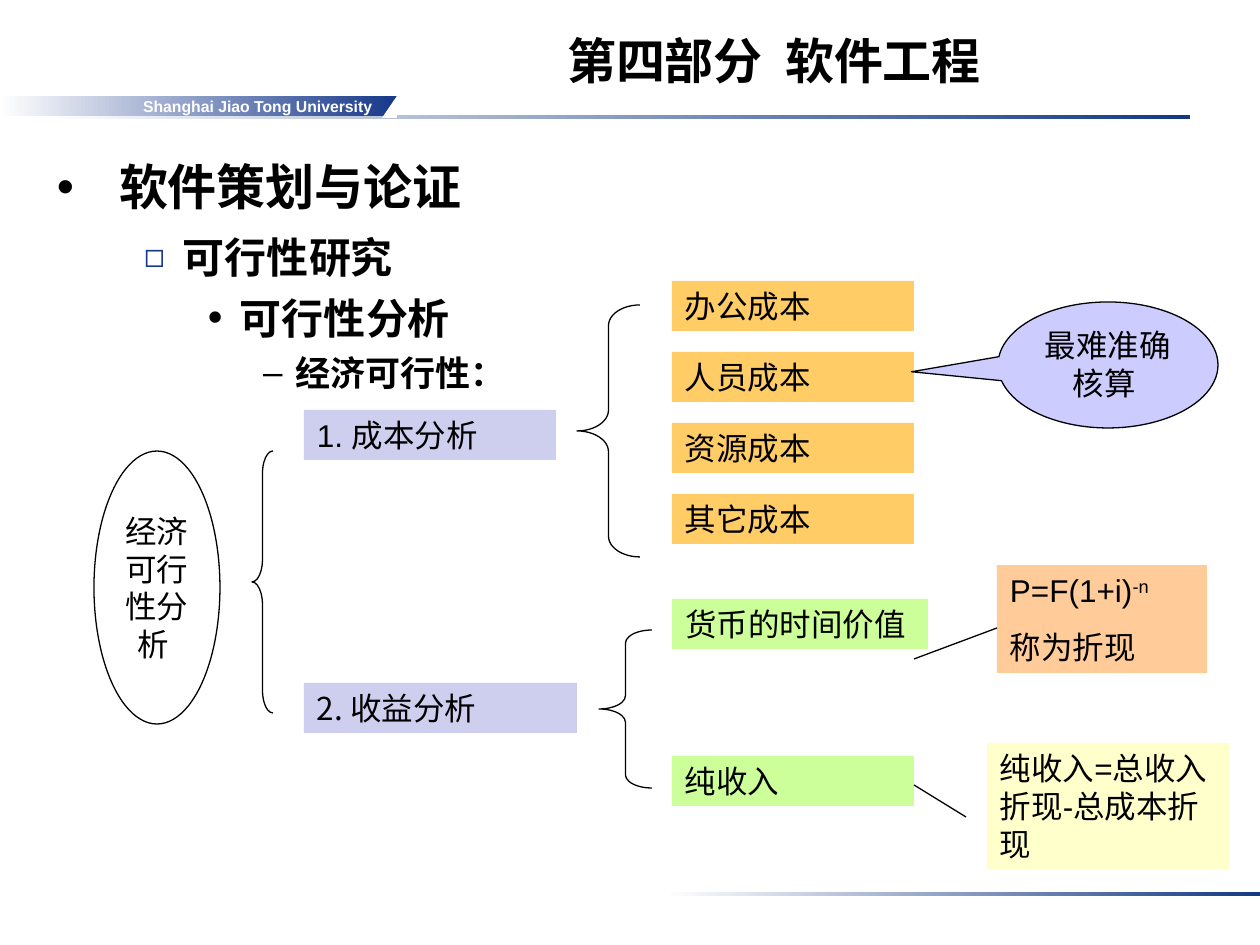
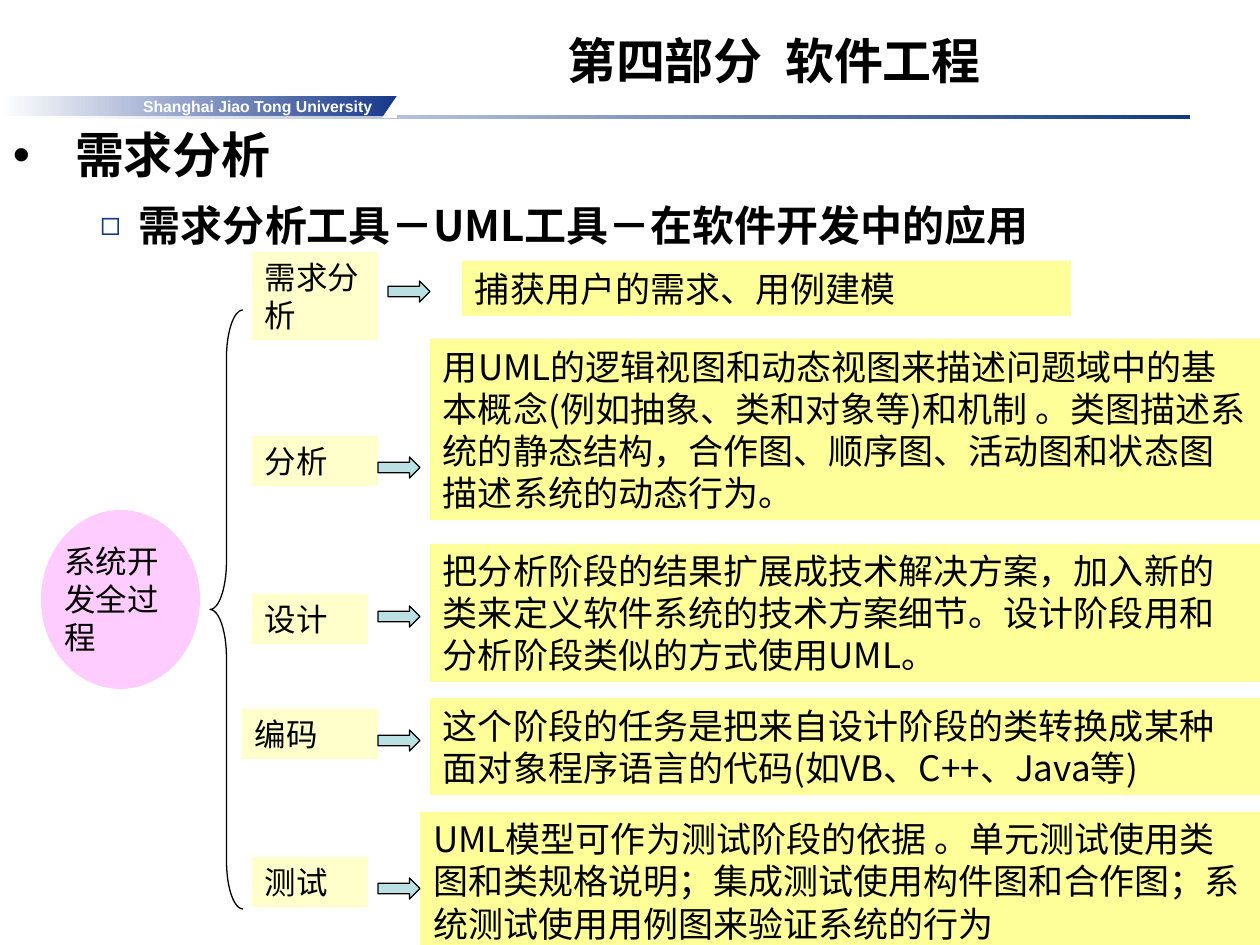
from lxml import etree
from pptx import Presentation
from pptx import util as u
from pptx.dml.color import RGBColor
from pptx.enum import shapes, text
from pptx.oxml import ns

PX = 914400 / 126
WIDTH, HEIGHT = 1260, 945
SHAPE, ALIGN, ANCHOR = shapes.MSO_SHAPE, text.PP_ALIGN, text.MSO_ANCHOR
LATIN, CJK = "Arial", "Noto Sans CJK SC"
COLORS = {
    "black": "000000", "white": "FFFFFF", "rule": "133984", "banner": "16388A",
    "lavender": "CECEEF", "orange": "FFCC66", "green": "CCFF99",
    "callout": "CCCCFF", "cream": "FFFFCC", "peach": "FFCC99",
    "pink": "FFCCFF", "yellow": "FFFF99", "arrow": "BBE0E3",
}
# Outline levels: size, left margin, hanging, space before, line height, bullet
LEVELS = [
    dict(size=28, font=LATIN, margin=62, hang=62, gap=7, line=1.32, bullet="•"),
    dict(size=24, margin=126, hang=39, gap=6, line=1.32, bullet="◻",
         bullet_color="banner", bullet_size=80),
    dict(size=24, margin=183, hang=32, gap=6, bullet="•"),
    dict(size=20, margin=238, hang=32, gap=5, bullet="–"),
]


def emu(*lengths):
    return [u.Emu(round(length * PX)) for length in lengths]


def rgb(name):
    return RGBColor.from_string(COLORS[name])


def add_xml(parent, tag, **attributes):
    return etree.SubElement(parent, ns.qn(tag), attributes)


# ---- Text ----
def add_span(para, words, size=18, font=CJK, color="black", bold=False, raised=0):
    span = para.add_run()
    span.text = words
    span.font.size, span.font.bold = u.Pt(size), bold
    span.font.color.rgb = rgb(color)
    span.font.name = font
    props = span._r.get_or_add_rPr()
    add_xml(props, "a:ea", typeface=CJK)
    if raised:
        props.set("baseline", str(raised * 1000))


def write(frame, words, size=18, align=ALIGN.LEFT, gap=0, line=1.2, margin=0,
          hang=0, bullet=None, bullet_color="black", bullet_size=100, **style):
    first = not frame.paragraphs[0].runs
    para = frame.paragraphs[0] if first else frame.add_paragraph()
    if bullet:
        props = para._p.get_or_add_pPr()
        props.set("marL", str(emu(margin)[0]))
        props.set("indent", str(emu(-hang)[0]))
        add_xml(add_xml(props, "a:buClr"), "a:srgbClr", val=COLORS[bullet_color])
        add_xml(props, "a:buSzPct", val=str(bullet_size * 1000))
        add_xml(props, "a:buFont", typeface=LATIN)
        add_xml(props, "a:buChar", char=bullet)
    para.alignment = align
    para.line_spacing = u.Pt(size * line)
    if not first:
        para.space_before = u.Pt(gap)
    add_span(para, words, size, **style)
    return para


def set_frame(frame, anchor=ANCHOR.TOP, insets=(13, 6, 13, 6), wrap=True):
    frame.word_wrap, frame.vertical_anchor = wrap, anchor
    (frame.margin_left, frame.margin_top,
     frame.margin_right, frame.margin_bottom) = emu(*insets)
    return frame


# ---- Shapes ----
def add_part(page, kind, box, fill=None, line=None, adjust=()):
    part = page.shapes.add_shape(kind, *emu(*box))
    part.shadow.inherit = False
    if fill:
        part.fill.solid()
        part.fill.fore_color.rgb = rgb(fill)
    else:
        part.fill.background()
    if line:
        part.line.color.rgb, part.line.width = rgb(line), u.Pt(0.75)
    else:
        part.line.fill.background()
    for index, value in enumerate(adjust):
        part.adjustments[index] = value
    return part


def add_label(page, box, words, fill, **style):
    label = add_part(page, SHAPE.RECTANGLE, box, fill)
    write(set_frame(label.text_frame), words, **style)
    return label


def add_brace(page, box, curl):
    add_part(page, SHAPE.LEFT_BRACE, box, line="black", adjust=(curl, 0.5))


def add_line(page, *ends):
    line = page.shapes.add_connector(shapes.MSO_CONNECTOR.STRAIGHT, *emu(*ends))
    line.line.color.rgb, line.line.width = rgb("black"), u.Pt(0.75)
    add_xml(line.element.spPr, "a:effectLst")


def add_fade(page, box, color):
    band = add_part(page, SHAPE.RECTANGLE, box, "white")
    band.fill.gradient()
    band.fill.gradient_angle = 0
    for stop, name in zip(band.fill.gradient_stops, ("white", color)):
        stop.color.rgb = rgb(name)
    return band


# ---- Shared frame ----
def move_bands_to_layout(page, layout):
    """Build the rules and the name banner, then keep them on the layout."""
    bands = [add_fade(page, (39, 115, 1151, 4), "rule"),
             add_fade(page, (665, 892, 595, 4), "rule")]
    banner = add_fade(page, (0, 96, 397, 20), "banner")
    write(set_frame(banner.text_frame, ANCHOR.MIDDLE, (13, 0, 25, 0)),
          "Shanghai Jiao Tong University", size=9, font=LATIN,
          color="white", bold=True, align=ALIGN.RIGHT)
    notch = add_part(page, SHAPE.RIGHT_TRIANGLE, (382, 96, 15, 22), "white")
    notch.element.spPr.xfrm.set("flipH", "1")
    for number, band in enumerate([*bands, banner, notch], start=101):
        band.element.nvSpPr.cNvPr.set("id", str(number))
        layout.shapes.element.append(band.element)


def add_page(deck, layout):
    page = deck.slides.add_slide(layout)
    title = page.shapes.title
    title.left, title.top, title.width, title.height = emu(326, 0, 896, 95)
    write(set_frame(title.text_frame, ANCHOR.BOTTOM), "第四部分  软件工程",
          size=28, font=LATIN, bold=True, align=ALIGN.CENTER)
    return page


def add_outline(page, box, lines):
    frame = set_frame(page.shapes.add_textbox(*emu(*box)).text_frame)
    for words, level in zip(lines, LEVELS):
        write(frame, words, bold=True, **level)


# ---- Slide 1: economic feasibility ----
def add_root(page, box):
    left, top, width, height = box
    root = add_part(page, SHAPE.OVAL, (left, top, 126, height), line="black")
    frame = set_frame(root.text_frame, ANCHOR.MIDDLE, wrap=False)
    for words in ("经济", "可行", "性分", "析 "):
        write(frame, words, align=ALIGN.CENTER)
    add_brace(page, (left + width - 21, top, 21, 262), 1.08)


def add_cost_branch(page, box):
    left, top, width, height = box
    label = add_label(page, (left, top + 129, 252, 50), "1. ", "lavender", font=LATIN)
    add_span(label.text_frame.paragraphs[0], "成本分析")
    add_brace(page, (left + 273, top + 24, 63, 252), 0.33)
    for row, words in enumerate(("办公成本", "人员成本", "资源成本", "其它成本")):
        add_label(page, (left + 368, top + 71 * row, 242, 50), words, "orange")
    callout = add_part(page, SHAPE.OVAL_CALLOUT, (left + width - 220, top + 21, 220, 126),
                       "callout", "black", (-0.893, 0.054))
    write(set_frame(callout.text_frame), "最难准确核算 ", align=ALIGN.CENTER)


def add_income_branch(page, box):
    left, top, width, height = box
    add_label(page, (left, top + 118, 273, 50), "2. 收益分析", "lavender")
    add_brace(page, (left + 295, top + 65, 53, 158), 0.25)
    add_label(page, (left + 368, top + 34, 256, 50), "货币的时间价值", "green")
    add_label(page, (left + 368, top + 191, 242, 50), "纯收入", "green")
    add_label(page, (left + width - 242, top + height - 126, 242, 126),
              "纯收入=总收入折现-总成本折现", "cream", font=LATIN)
    add_line(page, left + 610, top + 220, left + 662, top + 252)
    discount = add_label(page, (left + 693, top, 210, 108), "P=F(1+i)", "peach", font=LATIN)
    add_span(discount.text_frame.paragraphs[0], "-n", font=LATIN, raised=30)
    write(discount.text_frame, "称为折现", gap=11.2, font=LATIN)
    add_line(page, left + 610, top + 94, left + 693, top + 63)


# ---- Slide 2: development stages ----
def add_process(page, box):
    left, top, width, height = box
    process = add_part(page, SHAPE.OVAL, (left, top + 200, 159, 179), "pink")
    write(set_frame(process.text_frame, insets=(0, 6, 0, 6)), "系统开发全过程")
    add_brace(page, (left + width - 33, top, 33, height), 1.46)


def add_stage(page, box, name, label, arrow, note):
    """label: left, top, width, height; arrow: left, top; note: left, width, all in the box."""
    left, top, width, height = box
    x, y, label_width, label_height = label
    add_label(page, (left + x, top + y, label_width, label_height), name, "cream")
    indent, note_width, words = note
    add_label(page, (left + indent, top, note_width, height), words, "yellow", size=20)
    add_part(page, SHAPE.RIGHT_ARROW, (left + arrow[0], top + arrow[1], 42, 21),
             "arrow", "black", (0.5, 0.5))


STAGES = [
    (261, 55, "需求分析", (10, -9, 126, 88), (146, 20),
     (220, 609, "捕获用户的需求、用例建模")),
    (339, 181, "分析", (10, 97, 126, 50), (136, 118),
     (188, 830, "用UML的逻辑视图和动态视图来描述问题域中的基本概念(例如抽象、类和对象等)和机制 。"
      "类图描述系统的静态结构，合作图、顺序图、活动图和状态图描述系统的动态行为。")),
    (544, 138, "设计", (10, 50, 116, 50), (136, 62),
     (188, 830, "把分析阶段的结果扩展成技术解决方案，加入新的类来定义软件系统的技术方案细节。"
      "设计阶段用和分析阶段类似的方式使用UML。")),
    (698, 97, "编码", (0, 11, 136, 50), (136, 32),
     (188, 830, "这个阶段的任务是把来自设计阶段的类转换成某种面对象程序语言的代码(如VB、C++、Java等)")),
    (812, 138, "测试", (10, 45, 116, 50), (136, 66),
     (178, 840, "UML模型可作为测试阶段的依据 。单元测试使用类图和类规格说明；"
      "集成测试使用构件图和合作图；系统测试使用用例图来验证系统的行为")),
]


def main():
    deck = Presentation()
    deck.slide_width, deck.slide_height = emu(WIDTH, HEIGHT)
    layout = deck.slide_layouts.get_by_name("Title Only")

    page = add_page(deck, layout)
    move_bands_to_layout(page, layout)
    add_outline(page, (44, 145, 1166, 718),
                ("软件策划与论证", "可行性研究", "可行性分析", "经济可行性："))
    add_root(page, (94, 451, 179, 273))
    add_cost_branch(page, (304, 281, 914, 276))
    add_income_branch(page, (304, 565, 925, 304))

    page = add_page(deck, layout)
    add_outline(page, (0, 113, 1166, 718),
                ("需求分析", "需求分析工具－UML工具－在软件开发中的应用"))
    add_process(page, (41, 310, 202, 599))
    for top, height, *stage in STAGES:
        add_stage(page, (242, top, 1018, height), *stage)

    deck.save("out.pptx")


if __name__ == "__main__":
    main()
